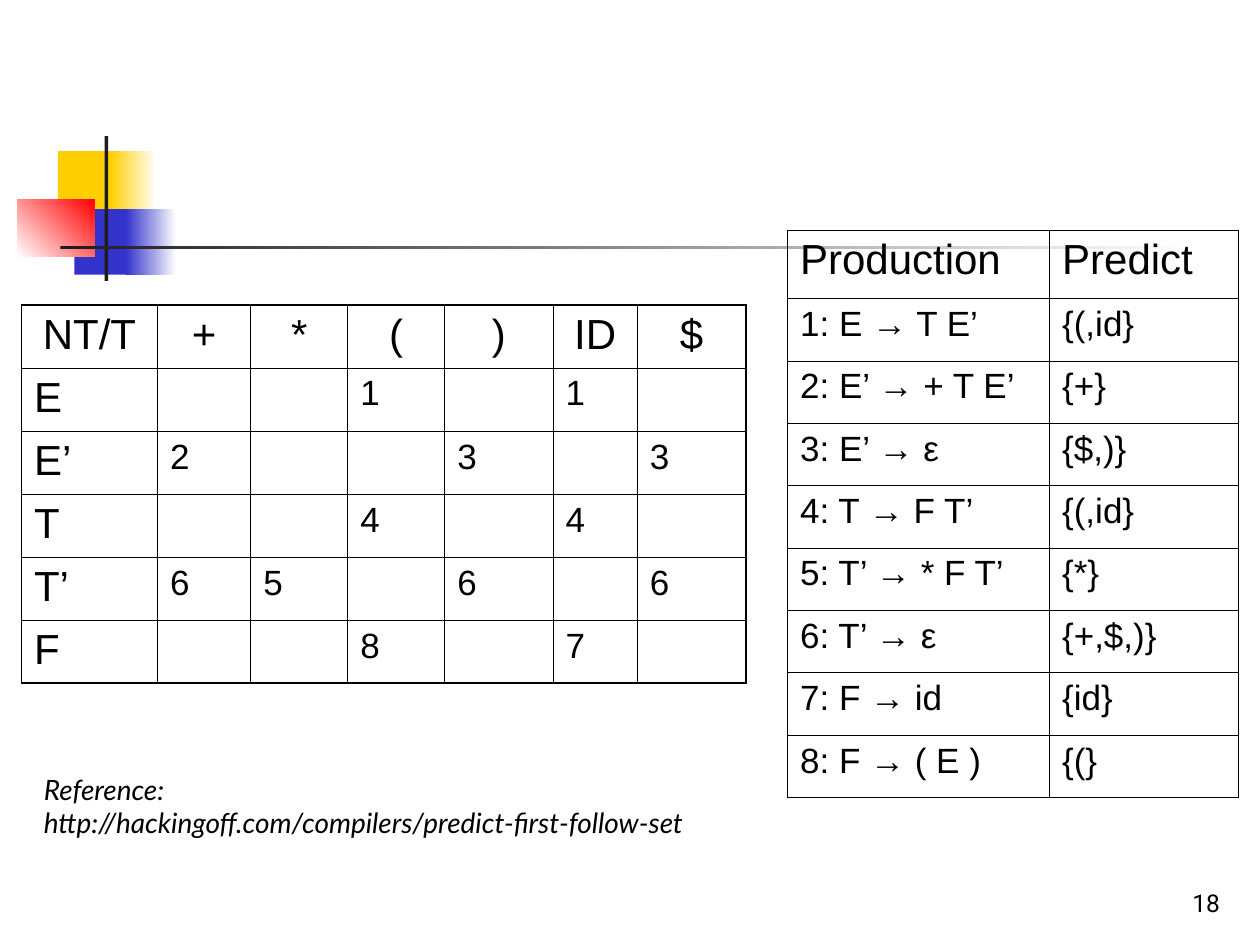
from lxml import etree
from pptx import Presentation
from pptx import util as u
from pptx.dml.color import RGBColor
from pptx.enum import shapes, text
from pptx.oxml.ns import qn

BLACK, WHITE, DARK = "000000", "FFFFFF", "1C1C1C"
YELLOW, BLUE, RED = "FFCF01", "3333CC", "FF0000"
THIN, THICK = 0.45, 1.08
HEADING, BODY = 24, 20

# box in inches, colours from start to end, counterclockwise angle
DECORATION = [
    ((0.46, 1.2, 0.48, 0.52), [YELLOW], 0),
    ((0.88, 1.2, 0.36, 0.52), [YELLOW, WHITE], 0),
    ((0.59, 1.66, 0.46, 0.52), [BLUE], 0),
    ((1, 1.66, 0.4, 0.52), [BLUE, WHITE], 0),
    ((0.14, 1.58, 0.61, 0.46), [WHITE, RED], 45),
    ((0.83, 1.08, 0.03, 1.15), [DARK], 0),
    ((0.48, 1.95, 9, 0.03), [DARK, WHITE], 0),
]

PARSE_TABLE = [
    ["NT/T", "+", "*", "(", ")", "ID", "$"],
    ["E", "", "", "1", "", "1", ""],
    ["E’", "2", "", "", "3", "", "3"],
    ["T", "", "", "4", "", "4", ""],
    ["T’", "6", "5", "", "6", "", "6"],
    ["F", "", "", "8", "", "7", ""],
]
PARSE_COLUMNS = [1.08, 0.74, 0.77, 0.77, 0.86, 0.67, 0.86]

PREDICT_TABLE = [
    ["Production", "Predict"],
    ["1: E → T E’", "{(,id}"],
    ["2: E’ → + T E’", "{+}"],
    ["3: E’ → ε", "{$,)}"],
    ["4: T → F T’", "{(,id}"],
    ["5: T’ → * F T’", "{*}"],
    ["6: T’ → ε", "{+,$,)}"],
    ["7: F → id", "{id}"],
    ["8: F → ( E )", "{(}"],
]
PREDICT_COLUMNS = [2.08, 1.5]

REFERENCE = ["Reference:", "http://hackingoff.com/compilers/predict-first-follow-set"]


def color(value):
    return RGBColor.from_string(value)


def inches(values):
    return [u.Inches(value) for value in values]


def style_text(text_frame, size, name, align=None, italic=None):
    for paragraph in text_frame.paragraphs:
        paragraph.alignment = align
        for run in paragraph.runs:
            run.font.size = u.Pt(size)
            run.font.name = name
            run.font.italic = italic
            run.font.color.rgb = color(BLACK)


def add_block(slide, box, colors, angle):
    shape = slide.shapes.add_shape(shapes.MSO_SHAPE.RECTANGLE, *inches(box))
    shape.shadow.inherit = False
    shape.line.fill.background()
    if len(colors) == 1:
        shape.fill.solid()
        shape.fill.fore_color.rgb = color(colors[0])
        return
    shape.fill.gradient()
    shape.fill.gradient_angle = angle
    for position, (stop, value) in enumerate(zip(shape.fill.gradient_stops, colors)):
        stop.position = position
        stop.color.rgb = color(value)


def set_borders(cell, widths):
    """Draw black left, right, top and bottom borders, widths in points."""
    properties = cell._tc.get_or_add_tcPr()
    for index, (side, width) in enumerate(zip("LRTB", widths)):
        line = etree.Element(qn(f"a:ln{side}"), w=str(u.Pt(width)))
        fill = etree.SubElement(line, qn("a:solidFill"))
        etree.SubElement(fill, qn("a:srgbClr"), val=BLACK)
        properties.insert(index, line)


def add_grid(slide, left, top, columns, heights, rows, is_heading, header_align=None):
    """Add an unfilled table with a thick frame and thin inner lines."""
    last_row, last_column = len(rows) - 1, len(columns) - 1
    box = inches((left, top, sum(columns), sum(heights)))
    table = slide.shapes.add_table(len(rows), len(columns), *box).table
    table.first_row = table.horz_banding = False
    for column, width in zip(table.columns, columns):
        column.width = u.Inches(width)
    for row, height in zip(table.rows, heights):
        row.height = u.Inches(height)
    for r, values in enumerate(rows):
        for c, value in enumerate(values):
            cell = table.cell(r, c)
            cell.fill.background()
            edges = (c == 0, c == last_column, r == 0, r == last_row)
            set_borders(cell, [THICK if edge else THIN for edge in edges])
            cell.text_frame.text = value
            style_text(cell.text_frame, HEADING if is_heading(r, c) else BODY,
                       "Arial", header_align if r == 0 else None)


def add_text(slide, box, lines, size, name, anchor, align=None, italic=None):
    text_frame = slide.shapes.add_textbox(*inches(box)).text_frame
    text_frame.word_wrap = True
    text_frame.vertical_anchor = anchor
    text_frame.text = "\n".join(lines)
    style_text(text_frame, size, name, align, italic)


def main():
    presentation = Presentation()
    presentation.slide_width, presentation.slide_height = inches((10, 7.5))
    slide = presentation.slides.add_slide(presentation.slide_layouts[6])

    for box, colors, angle in DECORATION:
        add_block(slide, box, colors, angle)

    add_text(slide, (7.7, 6.83, 2.08, 0.5), ["18"], 14, "Roboto",
             text.MSO_ANCHOR.BOTTOM, text.PP_ALIGN.RIGHT)
    add_grid(slide, 0.17, 2.42, PARSE_COLUMNS, [0.5] * len(PARSE_TABLE), PARSE_TABLE,
             lambda r, c: r == 0 or c == 0, text.PP_ALIGN.CENTER)
    add_grid(slide, 6.25, 1.83, PREDICT_COLUMNS,
             [0.54] + [0.495] * (len(PREDICT_TABLE) - 1), PREDICT_TABLE,
             lambda r, c: r == 0)
    add_text(slide, (0.25, 6.08, 9.58, 0.64), REFERENCE, 16, "Lato",
             text.MSO_ANCHOR.TOP, italic=True)

    presentation.save("out.pptx")


if __name__ == "__main__":
    main()
